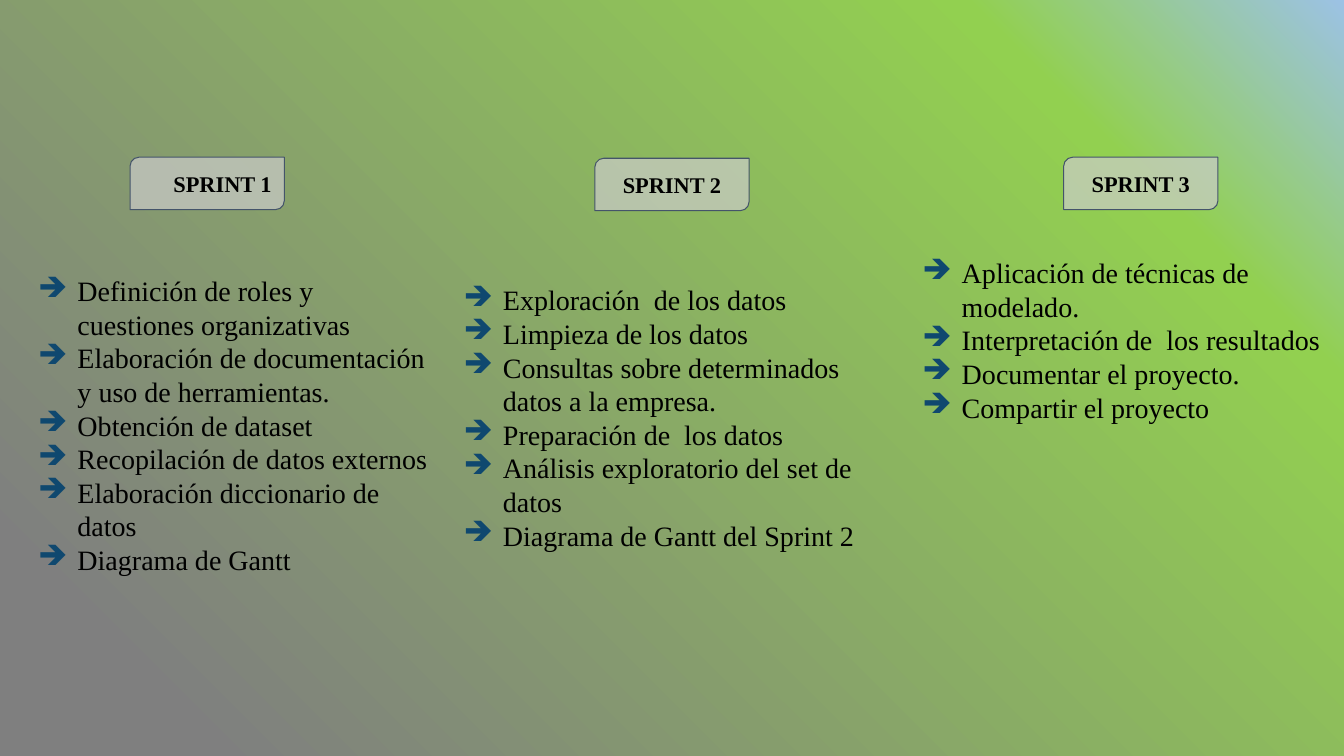
from lxml import etree
from pptx import Presentation
from pptx.dml.color import RGBColor
from pptx.enum import shapes, text
from pptx.oxml.ns import qn
from pptx.util import Inches, Pt

FONT = "Times New Roman"
COLORS = {"ink": "000000", "arrow": "0F486F", "label": "CCCCCC", "outline": "44546A"}
BACKGROUND = [(0, "9CC2E5"), (18, "92D050"), (90, "7F7F7F"), (100, "7F7F7F")]
LABEL_SIZE = (1.53, 0.52)

# Boxes are left, top, width, height in inches
SPRINTS = [
    {"title": "SPRINT 1", "label_at": (1.29, 1.56), "align": text.PP_ALIGN.RIGHT,
     "box": (0.17, 2.21, 4.22, 4.01),
     "tasks": ["Definición de roles y cuestiones organizativas",
               "Elaboración de documentación y uso de herramientas.",
               "Obtención de dataset",
               "Recopilación de datos externos",
               "Elaboración diccionario de datos",
               "Diagrama de Gantt"]},
    {"title": "SPRINT 2", "label_at": (5.9, 1.57), "align": text.PP_ALIGN.CENTER,
     "box": (4.39, 2.21, 4.4, 3.86),
     "tasks": ["Exploración  de los datos",
               "Limpieza de los datos",
               "Consultas sobre determinados datos a la empresa.",
               "Preparación de  los datos",
               "Análisis exploratorio del set de datos",
               "Diagrama de Gantt del Sprint 2"]},
    {"title": "SPRINT 3", "label_at": (10.55, 1.56), "align": text.PP_ALIGN.CENTER,
     "box": (8.94, 2.42, 4.39, 1.9),
     "tasks": ["Aplicación de técnicas de modelado.",
               "Interpretación de  los resultados",
               "Documentar el proyecto.",
               "Compartir el proyecto"]},
]


def add_color(parent, color):
    return etree.SubElement(parent, qn("a:srgbClr"), val=color)


def paint_background(page):
    """Fill the page with a gradient running from top right to bottom left."""
    fill = page.background.fill
    fill.gradient()
    fill.gradient_angle = 225
    stops = page.element.find(".//" + qn("a:gsLst"))
    for stop in list(stops):
        stops.remove(stop)
    for percent, color in BACKGROUND:
        add_color(etree.SubElement(stops, qn("a:gs"), pos=str(percent * 1000)), color)


def add_arrow_bullet(para):
    properties = para._p.get_or_add_pPr()
    properties.set("marL", str(Inches(0.5)))
    properties.set("indent", str(Inches(-0.39)))
    add_color(etree.SubElement(properties, qn("a:buClr")), COLORS["arrow"])
    etree.SubElement(properties, qn("a:buChar"), char="➔")


def write(box, lines, size, bold=False, align=text.PP_ALIGN.LEFT,
          inset=0.1, bullets=False, spacing=None):
    frame = box.text_frame
    frame.word_wrap = True
    frame.vertical_anchor = text.MSO_ANCHOR.MIDDLE
    frame.margin_left = frame.margin_right = Inches(0.1)
    frame.margin_top = frame.margin_bottom = Inches(inset)
    for index, line in enumerate(lines):
        para = frame.add_paragraph() if index else frame.paragraphs[0]
        para.alignment = align
        if spacing:
            para.line_spacing = Pt(spacing)
        if bullets:
            add_arrow_bullet(para)
        span = para.add_run()
        span.text = line
        span.font.name = FONT
        span.font.size = Pt(size)
        span.font.bold = bold
        span.font.color.rgb = RGBColor.from_string(COLORS["ink"])


def add_label(page, sprint):
    label = page.shapes.add_shape(
        shapes.MSO_SHAPE.ROUND_2_DIAG_RECTANGLE,
        *map(Inches, sprint["label_at"] + LABEL_SIZE))
    label.adjustments[0] = 0.17
    label.adjustments[1] = 0
    label.shadow.inherit = False
    label.fill.solid()
    label.fill.fore_color.rgb = RGBColor.from_string(COLORS["label"])
    fill_color = label.element.spPr.find(qn("a:solidFill")).find(qn("a:srgbClr"))
    etree.SubElement(fill_color, qn("a:alpha"), val="69000")
    label.line.color.rgb = RGBColor.from_string(COLORS["outline"])
    label.line.width = Pt(0.75)
    write(label, [sprint["title"]], 16, bold=True, align=sprint["align"])


def main():
    deck = Presentation()
    deck.slide_width, deck.slide_height = Inches(13.33), Inches(7.5)
    page = deck.slides.add_slide(deck.slide_layouts[6])
    paint_background(page)
    for sprint in SPRINTS:
        box = page.shapes.add_textbox(*map(Inches, sprint["box"]))
        write(box, sprint["tasks"], 20, inset=0.05, bullets=True, spacing=24)
        add_label(page, sprint)
    deck.save("out.pptx")


if __name__ == "__main__":
    main()
